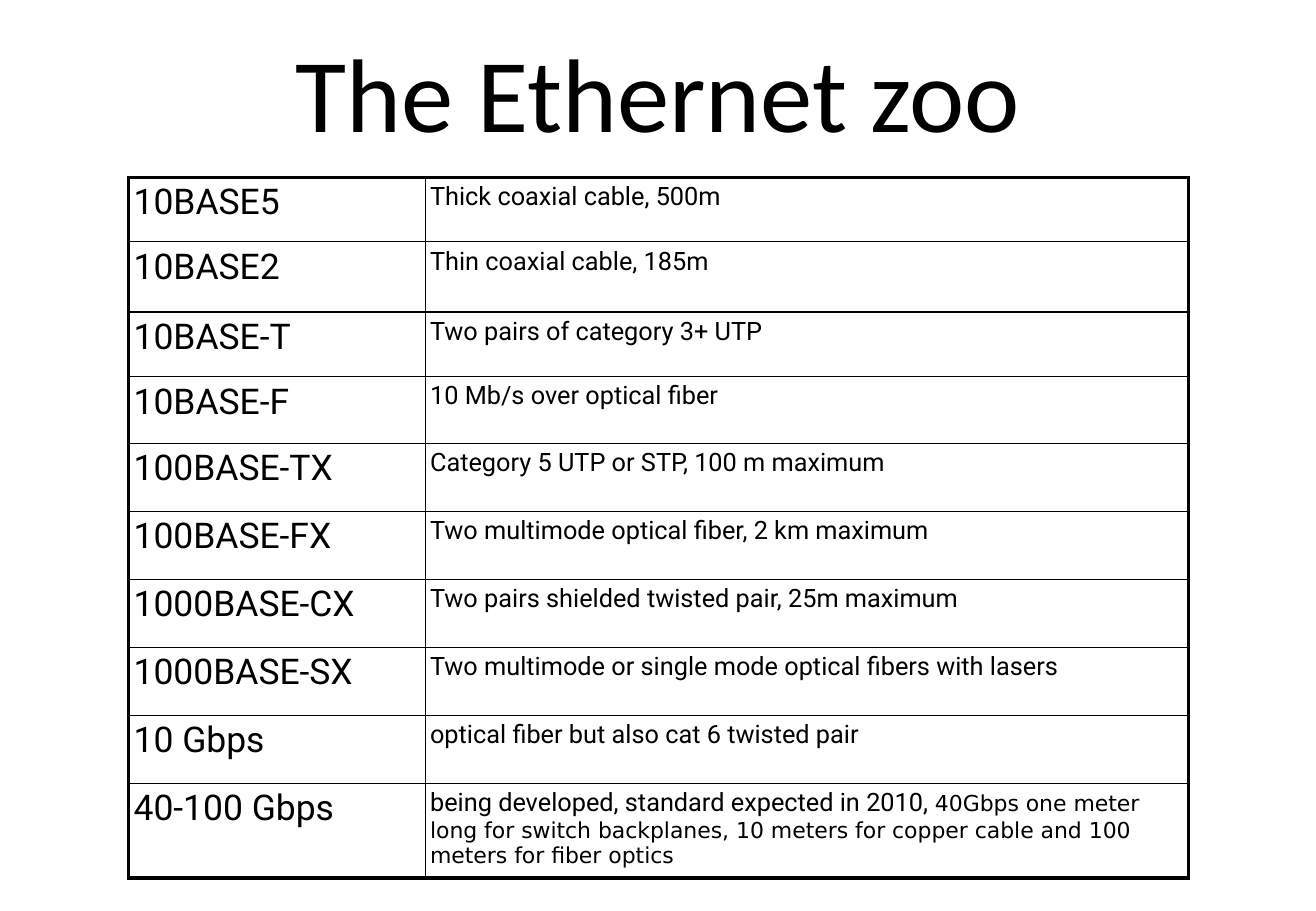
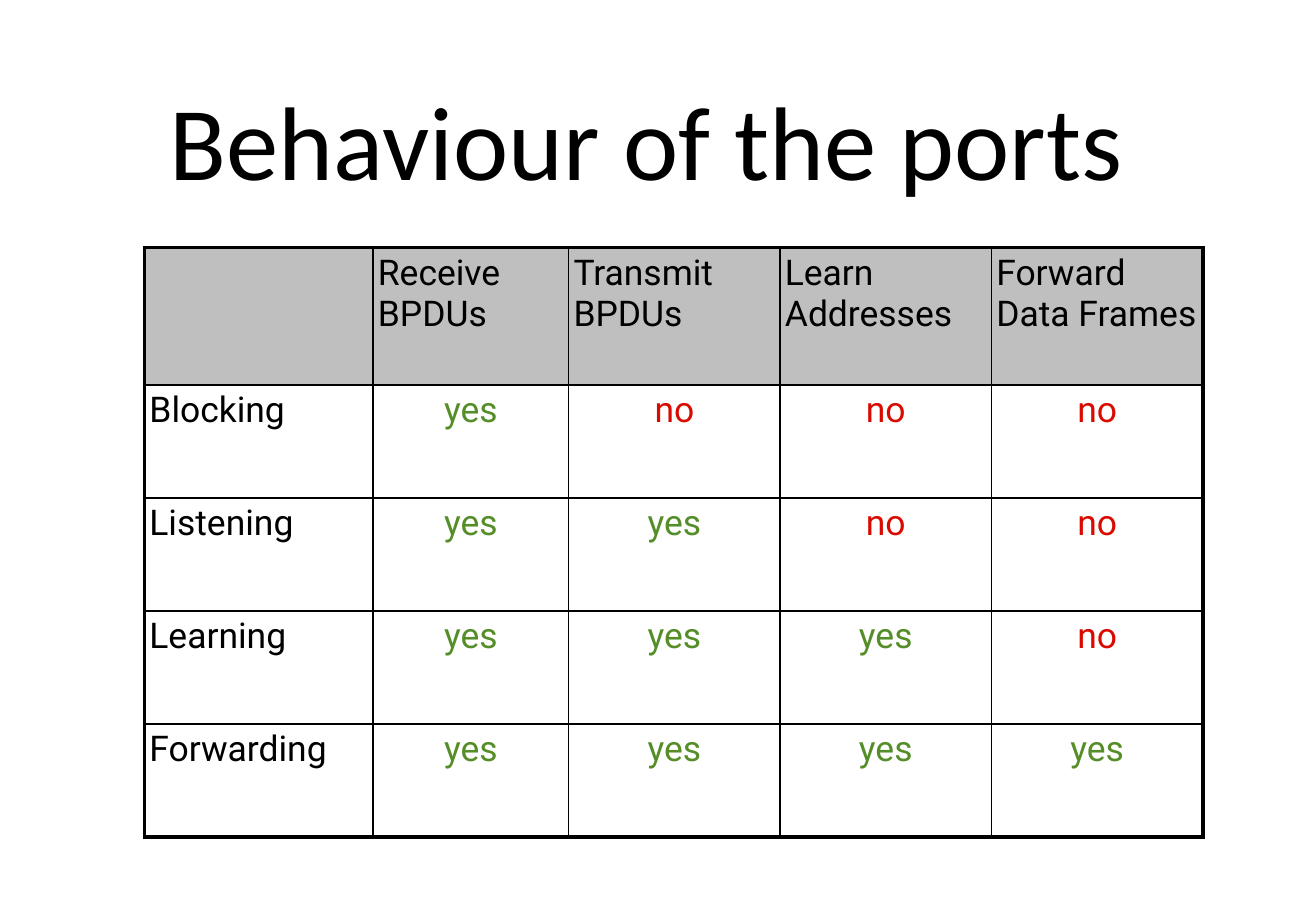
import pptx
import pptx.util
import pptx.dml.color
import pptx.enum.text
import pptx.oxml
import pptx.oxml.ns
from lxml import etree

Inches = pptx.util.Inches
Pt = pptx.util.Pt
ALIGN = pptx.enum.text.PP_ALIGN
ANCHOR = pptx.enum.text.MSO_ANCHOR
qn = pptx.oxml.ns.qn

# Shared style
BLACK, GREEN, RED = "000000", "558E28", "D90B00"
TITLE_FONT, TABLE_FONT, NOTE_FONT = "Calibri", "Roboto", "DejaVu Sans"
TITLE_SIZE, LARGE, SMALL, NOTE = 62, 21, 15, 13
INSET = 0.04
OUTER_LINE, INNER_LINE = 2.25, 1
LEFT, WIDTH = 1.06, 8.72

# Slide content
ETHERNET = [
    ("10BASE5", "Thick coaxial cable, 500m"),
    ("10BASE2", "Thin coaxial cable, 185m"),
    ("10BASE-T", "Two pairs of category 3+ UTP"),
    ("10BASE-F", "10 Mb/s over optical fiber"),
    ("100BASE-TX", "Category 5 UTP or STP, 100 m maximum"),
    ("100BASE-FX", "Two multimode optical fiber, 2 km maximum"),
    ("1000BASE-CX", "Two pairs shielded twisted pair, 25m maximum"),
    ("1000BASE-SX", "Two multimode or single mode optical fibers with lasers"),
    ("10 Gbps", "optical fiber but also cat 6 twisted pair"),
    ("40-100 Gbps", "being developed, standard expected in 2010, "),
]
BACKPLANE_NOTE = ("40Gbps one meter long for switch backplanes, 10 meters "
                  "for copper cable and 100 meters for fiber optics")
PORT_ACTIONS = ["Receive BPDUs", "Transmit BPDUs", "Learn Addresses",
                "Forward Data Frames"]
PORT_STATES = [("Blocking", 1), ("Listening", 2), ("Learning", 3),
               ("Forwarding", 4)]  # state, number of allowed actions


def rgb(colour):
    return pptx.dml.color.RGBColor.from_string(colour)


def add_run(p, text, size, font=TABLE_FONT, colour=BLACK):
    r = p.add_run()
    r.text = text
    r.font.size = Pt(size)
    r.font.name = font
    r.font.color.rgb = rgb(colour)


def set_insets(box):
    box.margin_left = box.margin_right = Inches(INSET)
    box.margin_top = box.margin_bottom = Inches(INSET)


def add_title_slide(prs, title, top):
    s = prs.slides.add_slide(prs.slide_layouts[5])
    sp = s.shapes.title
    sp.left, sp.top = Inches(LEFT), Inches(top)
    sp.width, sp.height = Inches(WIDTH), Inches(1.88)
    tf = sp.text_frame
    set_insets(tf)
    tf.word_wrap = True
    tf.auto_size = pptx.enum.text.MSO_AUTO_SIZE.NONE
    tf.vertical_anchor = ANCHOR.MIDDLE
    p = tf.paragraphs[0]
    p.alignment = ALIGN.CENTER
    add_run(p, title, TITLE_SIZE, TITLE_FONT)
    return s


def set_borders(cell, outer_sides):
    """Draw all four sides, with a thick line on the outer ones."""
    tc_pr = cell._tc.get_or_add_tcPr()
    for side in "LRTB":
        width = OUTER_LINE if side in outer_sides else INNER_LINE
        ln = etree.SubElement(tc_pr, qn(f"a:ln{side}"), w=str(Pt(width)))
        fill = etree.SubElement(ln, qn("a:solidFill"))
        etree.SubElement(fill, qn("a:srgbClr"), val=BLACK)


def add_grid(s, left, top, col_widths, row_heights):
    """Add a plain bordered table and return it."""
    rows, cols = len(row_heights), len(col_widths)
    table = s.shapes.add_table(
        rows, cols, Inches(left), Inches(top),
        Inches(sum(col_widths)), Inches(sum(row_heights))).table
    table.first_row = table.horz_banding = False
    for col, width in zip(table.columns, col_widths):
        col.width = Inches(width)
    for row, height in zip(table.rows, row_heights):
        row.height = Inches(height)
    for i in range(rows):
        for j in range(cols):
            cell = table.cell(i, j)
            set_insets(cell)
            edges = {"L": j == 0, "R": j == cols - 1,
                     "T": i == 0, "B": i == rows - 1}
            set_borders(cell, [side for side in edges if edges[side]])
            cell.fill.background()
    return table


def write_cell(cell, text, size=LARGE, colour=BLACK, align=ALIGN.LEFT):
    p = cell.text_frame.paragraphs[0]
    p.alignment = align
    add_run(p, text, size, colour=colour)
    return p


def shade_cell(cell, opacity):
    cell.fill.solid()
    cell.fill.fore_color.rgb = rgb(BLACK)
    clr = cell._tc.tcPr.find(qn("a:solidFill")).find(qn("a:srgbClr"))
    etree.SubElement(clr, qn("a:alpha"), val=str(opacity * 1000))


def ethernet_slide(prs):
    s = add_title_slide(prs, "The Ethernet zoo", -0.19)
    heights = [0.53, 0.58, 0.53, 0.55] + [0.56] * 5 + [0.78]
    table = add_grid(s, LEFT, 1.46, [2.44, 6.28], heights)
    for i, (name, medium) in enumerate(ETHERNET):
        write_cell(table.cell(i, 0), name)
        p = write_cell(table.cell(i, 1), medium, SMALL)
    # The last row ends with a smaller note
    add_run(p, BACKPLANE_NOTE, NOTE, NOTE_FONT)


def ports_slide(prs):
    s = add_title_slide(prs, "Behaviour of the ports ", 0.2)
    table = add_grid(s, 1.19, 2.04, [1.88, 1.61] + [1.74] * 3,
                     [1.13] + [0.93] * 4)
    # Header row
    for cell in table.rows[0].cells:
        shade_cell(cell, 25)
    for j, action in enumerate(PORT_ACTIONS, 1):
        write_cell(table.cell(0, j), action)
    # Each state allows one action more than the state before
    for i, (state, allowed) in enumerate(PORT_STATES, 1):
        write_cell(table.cell(i, 0), state)
        for j in range(1, len(PORT_ACTIONS) + 1):
            answer, colour = ("yes", GREEN) if j <= allowed else ("no", RED)
            write_cell(table.cell(i, j), answer, colour=colour,
                       align=ALIGN.CENTER)


def main():
    prs = pptx.Presentation()
    prs.slide_width, prs.slide_height = Inches(10.83), Inches(7.5)
    ethernet_slide(prs)
    ports_slide(prs)
    prs.save("out.pptx")


if __name__ == "__main__":
    main()
